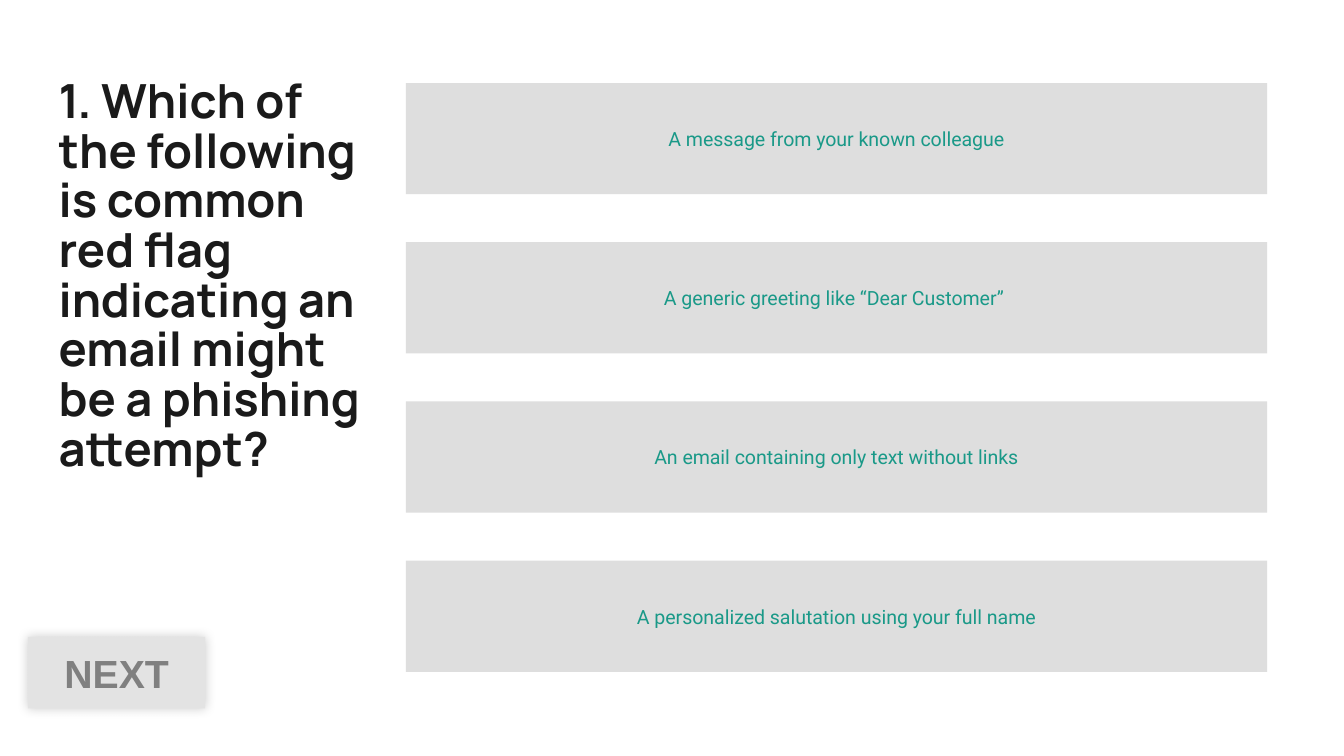
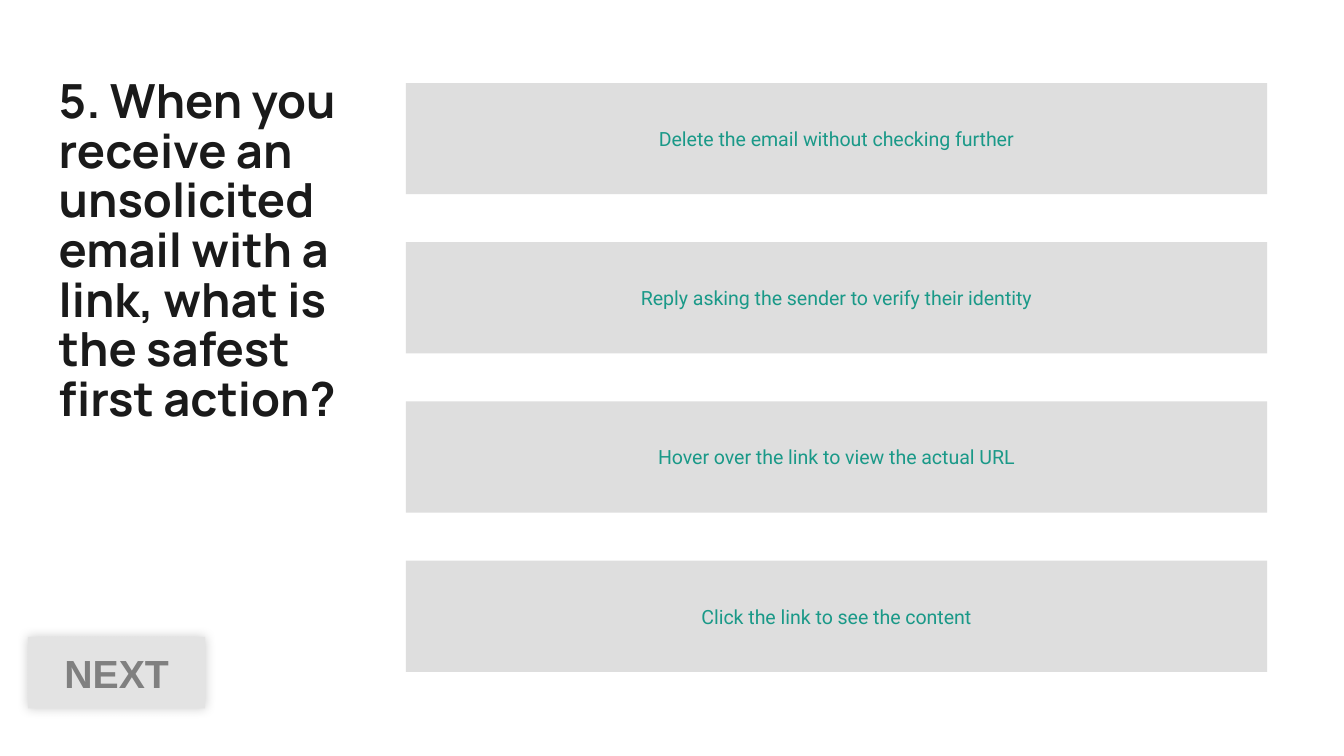
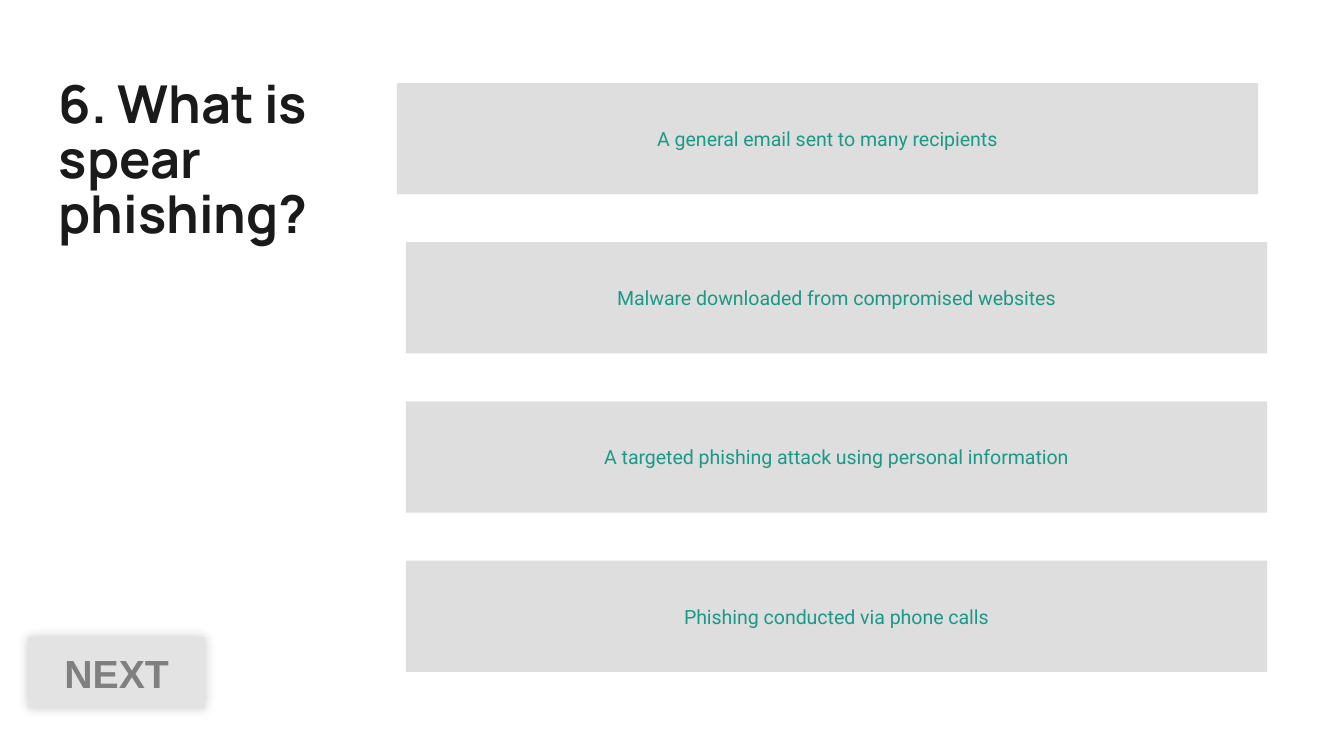
from lxml import etree
from pptx import Presentation
from pptx.dml.color import RGBColor
from pptx.enum.shapes import MSO_SHAPE
from pptx.enum.text import MSO_ANCHOR, MSO_AUTO_SIZE, PP_ALIGN
from pptx.oxml import parse_xml
from pptx.oxml.ns import nsdecls, qn
from pptx.util import Cm, Pt

RECTANGLE = MSO_SHAPE.RECTANGLE
TOP, MIDDLE = MSO_ANCHOR.TOP, MSO_ANCHOR.MIDDLE
LEFT, CENTER = PP_ALIGN.LEFT, PP_ALIGN.CENTER
NO_AUTOFIT = MSO_AUTO_SIZE.NONE
TITLE_ONLY = 5

COLORS = {
    "question": "1A1A1A",
    "answer": "1A9988",
    "answer_fill": "DEDEDE",
    "next": "808080",
    "next_fill": "E3E3E3",
    "shadow": "000000",
}
FONTS = {
    "question": {"name": "Manrope", "bold": True},
    "answer": {"name": "Roboto", "size": Pt(10.5), "bold": False},
    "next": {"name": "Arial", "size": Pt(21), "bold": True},
}

ANSWER_LEFT, ANSWER_TOP, ANSWER_PITCH = 7.67, 1.57, 3.01
ANSWER_WIDTH, ANSWER_HEIGHT = 16.28, 2.1

# The first answer of the last question sits slightly to the left.
QUIZ = [
    {
        "question": "1. Which of the following is common red flag indicating "
                    "an email might be a phishing attempt?",
        "size": 25.2, "width": 6.25, "height": 10.39, "first_left": ANSWER_LEFT,
        "answers": [
            "A message from your known colleague",
            "A generic greeting like “Dear Customer” ",
            "An email containing only text without links",
            "A personalized salutation using your full name",
        ],
    },
    {
        "question": "5. When you receive an unsolicited email with a link, "
                    "what is the safest first action?",
        "size": 25.2, "width": 5.87, "height": 10.44, "first_left": ANSWER_LEFT,
        "answers": [
            "Delete the email without checking further",
            "Reply asking the sender to verify their identity",
            "Hover over the link to view the actual URL",
            "Click the link to see the content",
        ],
    },
    {
        "question": "6. What is spear phishing?",
        "size": 28, "width": 5.97, "height": 9.78, "first_left": 7.5,
        "answers": [
            "A general email sent to many recipients",
            "Malware downloaded from compromised websites",
            "A targeted phishing attack using personal information",
            "Phishing conducted via phone calls",
        ],
    },
]


def write_text(shape, text, role, anchor, alignment):
    """Fill the shape with one paragraph in the font and colour of its role."""
    frame = shape.text_frame
    frame_format = {"word_wrap": True, "auto_size": NO_AUTOFIT, "vertical_anchor": anchor}
    for side in ("left", "top", "right", "bottom"):
        frame_format[f"margin_{side}"] = Cm(0.25)
    for attribute, value in frame_format.items():
        setattr(frame, attribute, value)
    paragraph = frame.paragraphs[0]
    paragraph.alignment = alignment
    run = paragraph.add_run()
    run.text = text
    for attribute, value in FONTS[role].items():
        setattr(run.font, attribute, value)
    run.font.color.rgb = RGBColor.from_string(COLORS[role])
    return paragraph


def add_button(slide, text, role, left, top, width, height):
    button = slide.shapes.add_shape(RECTANGLE, Cm(left), Cm(top), Cm(width), Cm(height))
    button.shadow.inherit = False
    button.fill.solid()
    button.fill.fore_color.rgb = RGBColor.from_string(COLORS[f"{role}_fill"])
    button.line.fill.background()
    write_text(button, text, role, MIDDLE, CENTER)
    return button


prs = Presentation()
prs.slide_width, prs.slide_height = Cm(25.4), Cm(14.29)

for item in QUIZ:
    slide = prs.slides.add_slide(prs.slide_layouts[TITLE_ONLY])

    question = slide.shapes.title
    question.left, question.top = Cm(0.86), Cm(1.24)
    question.width, question.height = Cm(item["width"]), Cm(item["height"])
    paragraph = write_text(question, item["question"], "question", TOP, LEFT)
    paragraph.line_spacing = 0.88
    paragraph.runs[0].font.size = Pt(item["size"])

    for row, answer in enumerate(item["answers"]):
        left = ANSWER_LEFT if row else item["first_left"]
        add_button(slide, answer, "answer", left, ANSWER_TOP + row * ANSWER_PITCH,
                   ANSWER_WIDTH, ANSWER_HEIGHT)

    next_button = add_button(slide, "NEXT", "next", 0.53, 12.04, 3.35, 1.35)
    effects = next_button.element.spPr.find(qn("a:effectLst"))
    glow = parse_xml(f'<a:outerShdw {nsdecls("a")} blurRad="{Pt(6)}" dist="0" '
                     'dir="18900000" algn="ctr" rotWithShape="0"/>')
    shade = etree.SubElement(glow, qn("a:srgbClr"), val=COLORS["shadow"])
    etree.SubElement(shade, qn("a:alpha"), val="20000")
    effects.append(glow)

prs.save("out.pptx")
